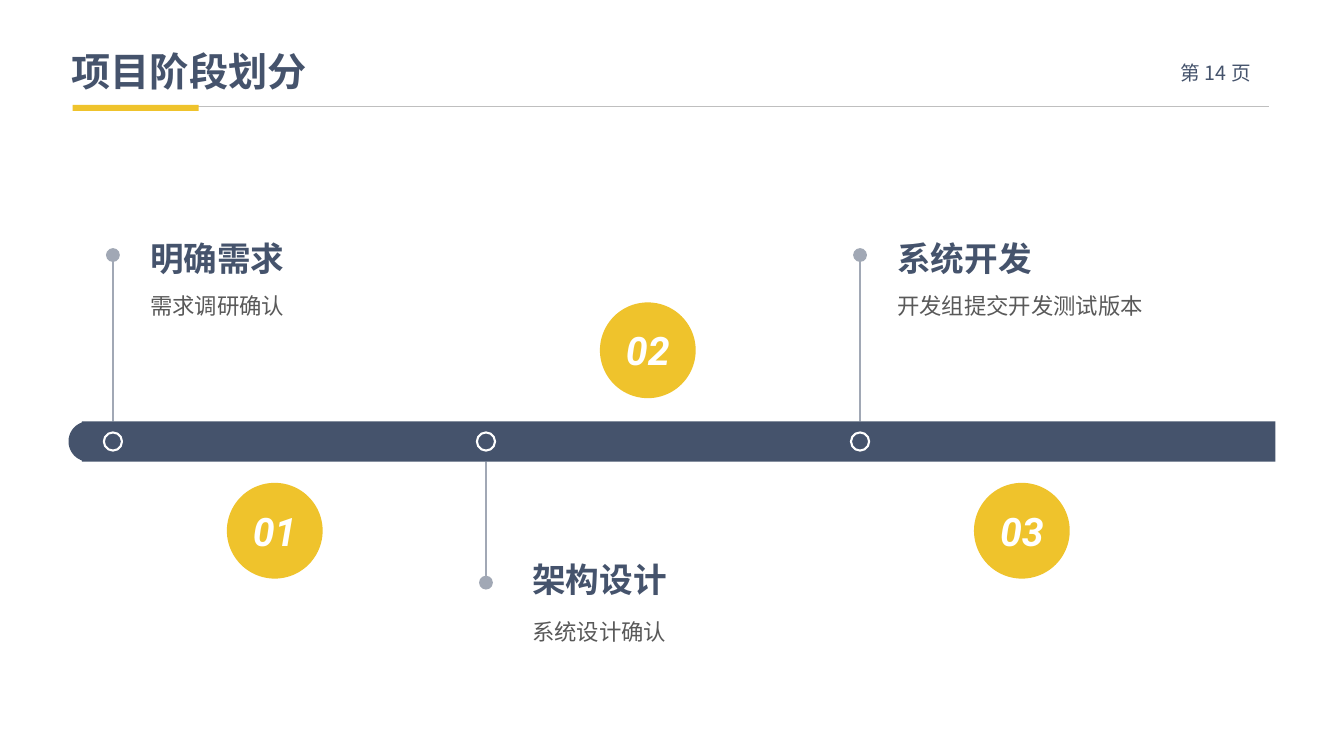
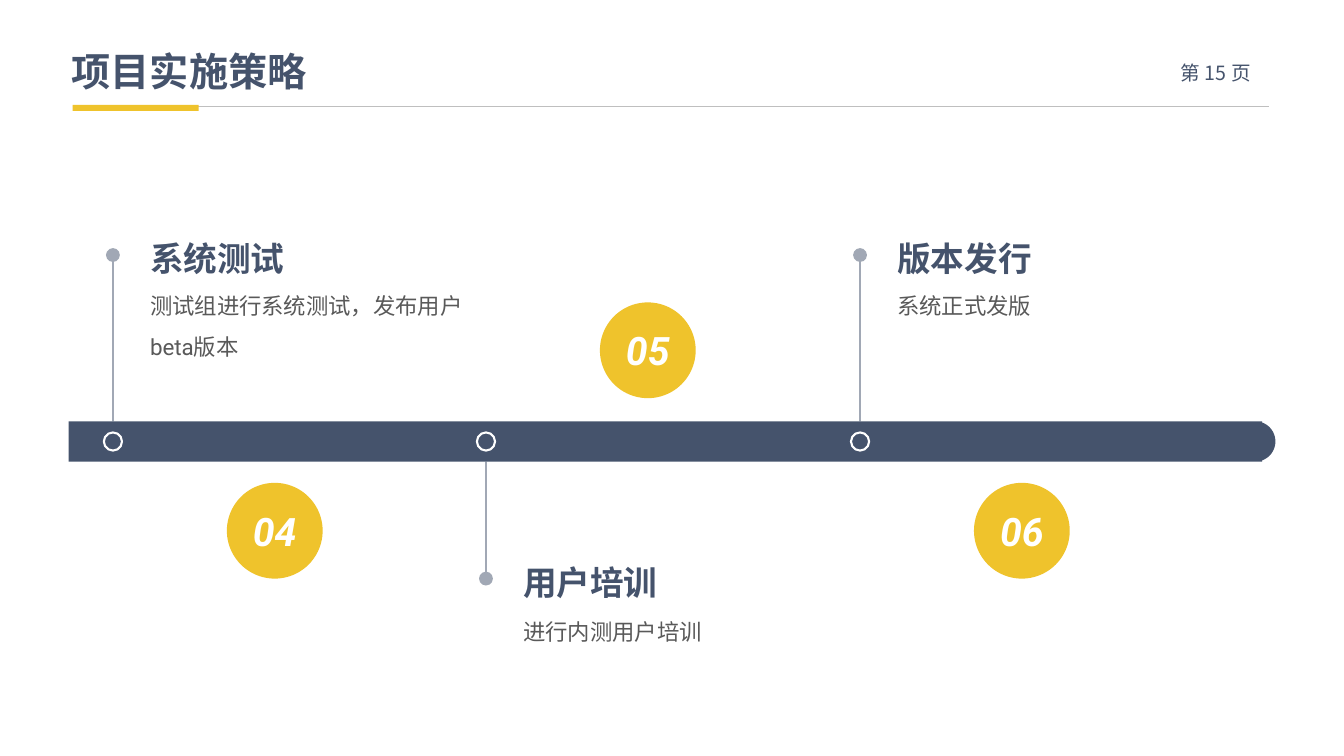
from dataclasses import dataclass
from math import cos, radians, sin

from lxml.etree import SubElement
from pptx import Presentation
from pptx.dml.color import RGBColor
from pptx.enum.shapes import MSO_CONNECTOR as Link, MSO_SHAPE as Form
from pptx.enum.text import MSO_ANCHOR as Anchor, MSO_AUTO_SIZE as Auto, PP_ALIGN as Align
from pptx.oxml.ns import qn
from pptx.util import Inches, Pt

NAVY, GOLD, WHITE = "45536C", "EFC32C", "FFFFFF"
GREY, RULE = "595959", "BFBFBF"
FONT, HAN = "Roboto", "Noto Sans CJK SC"
WIDE, HIGH = 13.33, 7.5
STOPS = (1.12, 4.82, 8.53)
BAR_TOP, BAR_LOW, BAR_END = 4.18, 4.58, 0.68
BADGE, RING = 0.95, 0.18


@dataclass
class Stage:
    num: str
    name: str
    note: str
    left: float
    top: float = 2.31
    tip: float = 2.53
    above: bool = True


@dataclass
class Page:
    title: str
    num: int
    flip: bool
    stages: list[Stage]


PAGES = [
    Page("项目阶段划分", 14, False, [
        Stage("01", "明确需求", "需求调研确认", 1.39),
        Stage("02", "架构设计", "系统设计确认", 5.18, 5.5, 5.78, False),
        Stage("03", "系统开发", "开发组提交开发测试版本", 8.8),
    ]),
    Page("项目实施策略", 15, True, [
        Stage("04", "系统测试", "测试组进行系统测试，发布用户beta版本", 1.39),
        Stage("05", "用户培训", "进行内测用户培训", 5.09, 5.53, 5.74, False),
        Stage("06", "版本发行", "系统正式发版", 8.8),
    ]),
]


def color(code: str) -> RGBColor:
    return RGBColor.from_string(code)


def write(shape, text: str, size: float, code: str, bold: bool = False,
          slant: bool = False, align=Align.LEFT, anchor=Anchor.TOP,
          wrap: bool = False, space: float = 1, face: str = FONT) -> None:
    frame = shape.text_frame
    frame.text = text
    frame.word_wrap = wrap
    frame.auto_size = Auto.NONE
    frame.vertical_anchor = anchor
    para = frame.paragraphs[0]
    para.alignment = align
    para.line_spacing = space
    run = para.runs[0]
    font = run.font
    font.name, font.size = face, Pt(size)
    font.bold, font.italic = bold, slant
    font.color.rgb = color(code)
    SubElement(run._r.get_or_add_rPr(), qn("a:ea")).set("typeface", HAN)


def label(slide, x: float, y: float, w: float, h: float, text: str,
          size: float, code: str, **style) -> None:
    box = slide.shapes.add_textbox(Inches(x), Inches(y), Inches(w), Inches(h))
    write(box, text, size, code, **style)


def paint(shape, fill: str) -> None:
    shape.shadow.inherit = False
    shape.fill.solid()
    shape.fill.fore_color.rgb = color(fill)
    shape.line.fill.background()


def block(slide, form, x: float, y: float, w: float, h: float):
    return slide.shapes.add_shape(form, Inches(x), Inches(y), Inches(w), Inches(h))


def stroke(slide, x1: float, y1: float, x2: float, y2: float,
           code: str, width: float):
    line = slide.shapes.add_connector(
        Link.STRAIGHT, Inches(x1), Inches(y1), Inches(x2), Inches(y2))
    line.line.color.rgb = color(code)
    line.line.width = Pt(width)
    SubElement(line._element.spPr, qn("a:effectLst"))
    return line


def draw_frame(slide, page: Page) -> None:
    stroke(slide, 0.72, 1.06, 12.59, 1.06, RULE, 0.5)
    paint(block(slide, Form.RECTANGLE, 0.72, 1.04, 1.25, 0.06), GOLD)
    label(slide, 11.46, 0.57, 1.2, 0.3, f"第 {page.num} 页", 14, NAVY,
          align=Align.CENTER, anchor=Anchor.MIDDLE, face=HAN)
    title = slide.shapes.title
    title.left, title.top = Inches(0.61), Inches(0.42)
    title.width, title.height = Inches(2.56), Inches(0.57)
    write(title, page.title, 28, NAVY, bold=True, anchor=Anchor.MIDDLE)


def draw_bar(slide, flip: bool) -> None:
    mid, r = (BAR_TOP + BAR_LOW) / 2, (BAR_LOW - BAR_TOP) / 2
    hub = BAR_END + r
    arc = [(hub + r * cos(radians(a)), mid + r * sin(radians(a)))
           for a in range(110, 251, 5)]
    edge, far = arc[0][0], WIDE - BAR_END
    spots = [(edge, BAR_TOP), (far, BAR_TOP), (far, BAR_LOW), (edge, BAR_LOW), *arc]
    points = [(Inches(WIDE - x if flip else x), Inches(y)) for x, y in spots]
    pen = slide.shapes.build_freeform(*points[0])
    pen.add_line_segments(points[1:], close=True)
    paint(pen.convert_to_shape(), NAVY)


def draw_stem(slide, x: float, stage: Stage) -> None:
    stem = stroke(slide, x, stage.tip, x, BAR_TOP if stage.above else BAR_LOW,
                  NAVY, 1.25)
    ln = stem.line._get_or_add_ln()
    tint = ln.find(qn("a:solidFill")).find(qn("a:srgbClr"))
    SubElement(tint, qn("a:alpha")).set("val", "50000")
    head = SubElement(ln, qn("a:headEnd"))
    for key, val in (("type", "oval"), ("w", "lg"), ("len", "lg")):
        head.set(key, val)


def draw_stage(slide, x: float, stage: Stage) -> None:
    ring = block(slide, Form.OVAL, x - RING / 2, 4.29, RING, RING)
    ring.shadow.inherit = False
    ring.fill.background()
    ring.line.color.rgb = color(WHITE)
    ring.line.width = Pt(1.5)
    draw_stem(slide, x, stage)
    label(slide, stage.left, stage.top, 1.55, 0.5, stage.name, 24, NAVY, bold=True)
    label(slide, stage.left, 2.72 if stage.above else 5.95, 3.53, 0.86,
          stage.note, 16, GREY, wrap=True, space=1.5)
    badge = block(slide, Form.OVAL, x + 1.13, 4.79 if stage.above else 3,
                  BADGE, BADGE)
    paint(badge, GOLD)
    write(badge, stage.num, 28, WHITE, bold=True, slant=True,
          align=Align.CENTER, anchor=Anchor.MIDDLE)


def main() -> None:
    deck = Presentation()
    deck.slide_width, deck.slide_height = Inches(WIDE), Inches(HIGH)
    for page in PAGES:
        slide = deck.slides.add_slide(deck.slide_layouts[5])
        draw_frame(slide, page)
        draw_bar(slide, page.flip)
        for x, stage in zip(STOPS, page.stages):
            draw_stage(slide, x, stage)
    deck.save("out.pptx")


if __name__ == "__main__":
    main()
